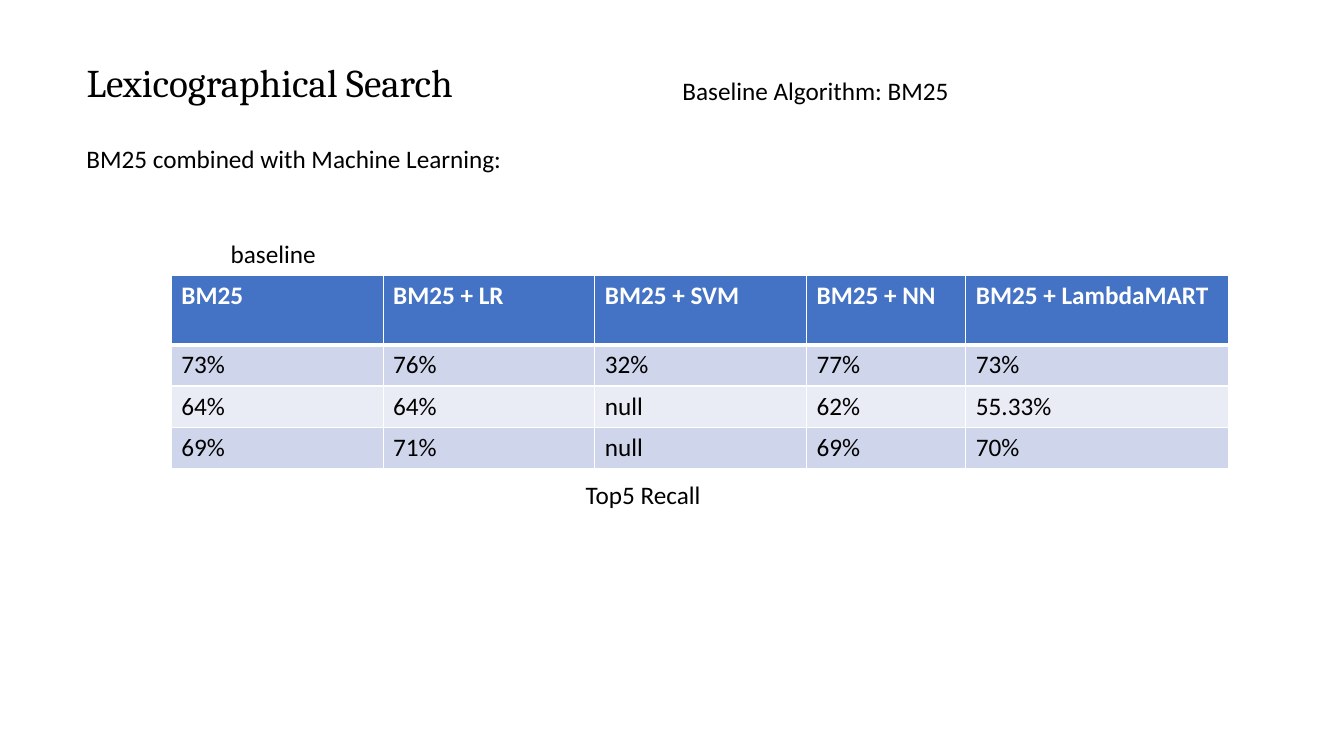
from dataclasses import dataclass

from lxml import etree
from pptx import Presentation
from pptx.dml.color import RGBColor
from pptx.enum.text import MSO_AUTO_SIZE
from pptx.oxml.ns import qn
from pptx.util import Inches, Pt

FIT_SHAPE = MSO_AUTO_SIZE.SHAPE_TO_FIT_TEXT


@dataclass(frozen=True)
class Theme:
    heading_font: str = "Cambria"
    body_font: str = "Calibri"
    heading_size: int = 28
    body_size: int = 18
    text: str = "000000"
    white: str = "FFFFFF"
    header_fill: str = "4472C4"
    band_fills: tuple = ("CFD5EA", "E9EBF5")
    border: int = 1
    header_border: int = 3


THEME = Theme()

TITLE = ("Lexicographical Search", (0.76, 0.53, 3.91, 0.57))
LABELS = [
    ("Baseline Algorithm: BM25", (6.67, 0.7, 2.87, 0.4)),
    ("BM25 combined with Machine Learning:", (0.76, 1.37, 4.37, 0.4)),
    ("baseline", (2.19, 2.32, 1.06, 0.4)),
    ("Top5 Recall", (5.71, 4.71, 1.41, 0.4)),
]
RECALL = [
    ("BM25", "BM25 + LR", "BM25 + SVM", "BM25 + NN", "BM25 + LambdaMART"),
    ("73%", "76%", "32%", "77%", "73%"),
    ("64%", "64%", "null", "62%", "55.33%"),
    ("69%", "71%", "null", "69%", "70%"),
]
TABLE_LEFT, TABLE_TOP = 1.7, 2.73
COL_WIDTHS = (2.1, 2.1, 2.1, 1.58, 2.61)
HEADER_HEIGHT, ROW_HEIGHT = 0.69, 0.41


def set_font(p, name, size, color, bold=False):
    p.font.name = name
    p.font.size = Pt(size)
    p.font.bold = bold
    p.font.color.rgb = RGBColor.from_string(color)


def add_label(slide, text, box, font=THEME.body_font, size=THEME.body_size):
    tf = slide.shapes.add_textbox(*map(Inches, box)).text_frame
    tf.word_wrap = False
    tf.auto_size = FIT_SHAPE
    p = tf.paragraphs[0]
    p.text = text
    set_font(p, font, size, THEME.text)


def set_borders(cell, widths):
    """Draw white cell borders; widths maps a side tag to points."""
    tc_pr = cell._tc.get_or_add_tcPr()
    for i, (side, width) in enumerate(widths.items()):
        ln = etree.Element(qn(f"a:{side}"), w=str(Pt(width)))
        fill = etree.SubElement(ln, qn("a:solidFill"))
        etree.SubElement(fill, qn("a:srgbClr"), val=THEME.white)
        tc_pr.insert(i, ln)


def add_recall_table(slide):
    heights = [HEADER_HEIGHT] + [ROW_HEIGHT] * (len(RECALL) - 1)
    box = (TABLE_LEFT, TABLE_TOP, sum(COL_WIDTHS), sum(heights))
    table = slide.shapes.add_table(
        len(RECALL), len(COL_WIDTHS), *map(Inches, box)).table
    for column, width in zip(table.columns, COL_WIDTHS):
        column.width = Inches(width)
    for r, (values, height) in enumerate(zip(RECALL, heights)):
        table.rows[r].height = Inches(height)
        header = r == 0
        fill = THEME.header_fill if header else THEME.band_fills[(r - 1) % 2]
        borders = dict.fromkeys(("lnL", "lnR", "lnT", "lnB"), THEME.border)
        if header:
            borders["lnB"] = THEME.header_border
        elif r == 1:
            borders["lnT"] = THEME.header_border
        for c, value in enumerate(values):
            cell = table.cell(r, c)
            cell.fill.solid()
            cell.fill.fore_color.rgb = RGBColor.from_string(fill)
            set_borders(cell, borders)
            p = cell.text_frame.paragraphs[0]
            p.text = value
            set_font(p, THEME.body_font, THEME.body_size,
                     THEME.white if header else THEME.text, header)


def main():
    prs = Presentation()
    prs.slide_width, prs.slide_height = Inches(13.33), Inches(7.5)
    slide = prs.slides.add_slide(prs.slide_layouts[6])
    add_label(slide, *TITLE, THEME.heading_font, THEME.heading_size)
    add_recall_table(slide)
    for text, box in LABELS:
        add_label(slide, text, box)
    prs.save("out.pptx")


if __name__ == "__main__":
    main()
